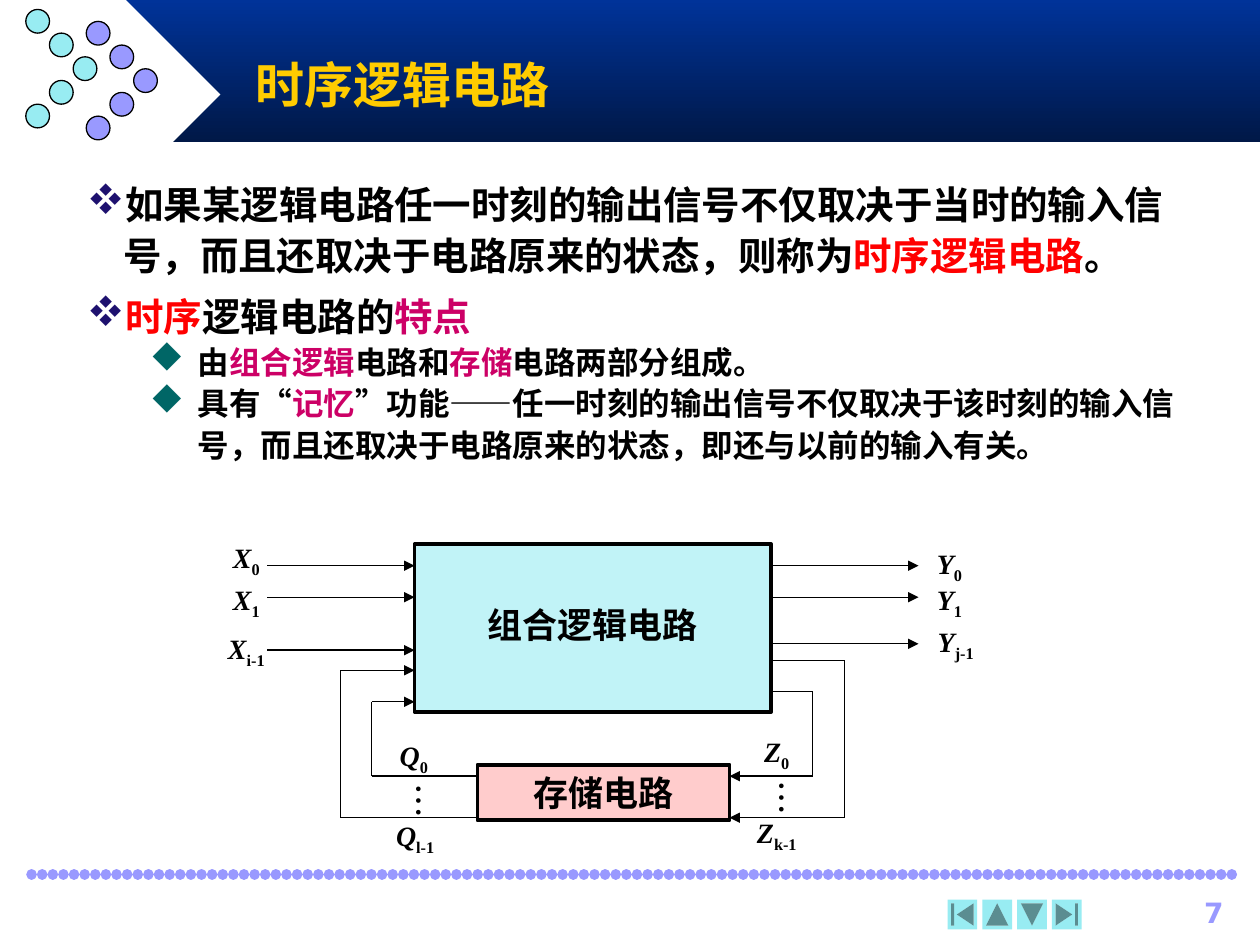
import itertools
import lxml.etree
import pptx
import pptx.dml.color
import pptx.enum.shapes
import pptx.enum.text
import pptx.oxml.ns
import pptx.util

COLS, ROWS = 100, 75
WIDE, HIGH = pptx.util.Inches(10), pptx.util.Inches(7.5)
HUES = {
    "navy": "003399", "dark": "001847", "white": "FFFFFF", "black": "000000",
    "lilac": "9999FF", "aqua": "98ECF2", "gold": "FFCC00", "red": "FF0000",
    "pink": "CC0066", "indigo": "1E116F", "teal": "006666",
    "pale": "C1F3F7", "rose": "FFCCCC",
}
FORMS = pptx.enum.shapes.MSO_SHAPE
ALIGN = pptx.enum.text.PP_ALIGN
HAN = "Noto Sans CJK SC"
SERIF = "Times New Roman"


def hue(name):
    return pptx.dml.color.RGBColor.from_string(HUES[name])


def across(col):
    return round(WIDE * col / COLS)


def down(row):
    return round(HIGH * row / ROWS)


def area(col, row, wide, high):
    return across(col), down(row), across(wide), down(high)


def node(parent, tag, **attrs):
    return lxml.etree.SubElement(parent, pptx.oxml.ns.qn(tag), **attrs)


def add_form(slide, kind, box, fill, edge=0, turn=0):
    form = slide.shapes.add_shape(kind, *area(*box))
    form.shadow.inherit = False
    form.rotation = turn
    form.fill.solid()
    form.fill.fore_color.rgb = hue(fill)
    if edge:
        form.line.color.rgb = hue("black")
        form.line.width = pptx.util.Pt(edge)
    else:
        form.line.fill.background()
    return form


def add_line(slide, start, end, color="black", width=0.75):
    line = slide.shapes.add_connector(
        pptx.enum.shapes.MSO_CONNECTOR.STRAIGHT,
        across(start[0]), down(start[1]), across(end[0]), down(end[1]))
    line.line.color.rgb = hue(color)
    line.line.width = pptx.util.Pt(width)
    node(line._element.spPr, "a:effectLst")
    return line.line._ln


def add_route(slide, *points):
    for start, end in itertools.pairwise(points):
        edge = add_line(slide, start, end)
    node(edge, "a:tailEnd", type="triangle")


def style(run, size, color="black", face="Arial", bold=True, slant=False):
    font = run.font
    font.size = pptx.util.Pt(size)
    font.name = face
    font.bold = bold
    font.italic = slant
    font.color.rgb = hue(color)
    node(run._r.get_or_add_rPr(), "a:ea", typeface=HAN)


def add_text(slide, box, text, size, align=ALIGN.CENTER, turn=0, **look):
    form = slide.shapes.add_textbox(*area(*box))
    form.rotation = turn
    form.text_frame.word_wrap = True
    write(form, text, size, align, **look)
    return form


def write(form, text, size, align=ALIGN.CENTER, **look):
    form.text_frame.text = text
    para = form.text_frame.paragraphs[0]
    para.alignment = align
    style(para.runs[0], size, **look)


def add_label(slide, col, row, name, sub):
    form = add_text(slide, (col, row, 6.7, 4.1), name, 16, face=SERIF, slant=True)
    run = form.text_frame.paragraphs[0].add_run()
    run.text = sub
    style(run, 16, face=SERIF)
    run.font._element.set("baseline", "-25000")


def add_point(para, level, parts, space, before):
    mark, color, left, hang, size = [
        ("v", "indigo", 0.29, 0.29, 22), ("u", "teal", 0.88, 0.38, 18)][level]
    para.level = level
    props = para._p.get_or_add_pPr()
    props.set("marL", str(pptx.util.Inches(left)))
    props.set("indent", str(-pptx.util.Inches(hang)))
    props.set("hangingPunct", "0")
    node(node(props, "a:buClr"), "a:srgbClr", val=HUES[color])
    node(props, "a:buSzPct", val="110000")
    node(props, "a:buFont", typeface="Wingdings", pitchFamily="2", charset="2")
    node(props, "a:buChar", char=mark)
    para.line_spacing = space
    para.space_before = pptx.util.Pt(before)
    for text, tone in parts:
        run = para.add_run()
        run.text = text
        style(run, size, tone)


def add_head(slide):
    band = add_form(slide, FORMS.RECTANGLE, (10, 0, 90, 11.3), "navy")
    band.fill.gradient()
    band.fill.gradient_angle = 270
    for stop, name, place in zip(band.fill.gradient_stops, ("navy", "dark"), (0, 1)):
        stop.color.rgb = hue(name)
        stop.position = place
    add_form(slide, FORMS.DIAMOND, (2.5, 0, 15, 15), "white")
    step = 1.88
    for color, col, row in (("lilac", 6.85, 1.7), ("aqua", 2.05, 0.75)):
        for pos in range(5):
            shift = 2 - abs(pos - 2)
            dot = (col + shift * step, row + pos * step, 1.88, 1.88)
            add_form(slide, FORMS.OVAL, dot, color, 0.75)
    title = add_text(slide, (19.3, 3.3, 70.1, 6.7), "时序逻辑电路", 28,
                     ALIGN.LEFT, color="gold")
    title.text_frame.vertical_anchor = pptx.enum.text.MSO_ANCHOR.MIDDLE


def add_foot(slide):
    edge = add_line(slide, (2.5, 69.4), (98.3, 69.4), "lilac", 6)
    edge.set("cap", "rnd")
    node(node(edge, "a:custDash"), "a:ds", d="100000", sp="1000")
    keys = (
        (FORMS.ACTION_BUTTON_BEGINNING, 0),
        (FORMS.ACTION_BUTTON_BACK_OR_PREVIOUS, 90),
        (FORMS.ACTION_BUTTON_FORWARD_OR_NEXT, 90),
        (FORMS.ACTION_BUTTON_END, 0),
    )
    for pos, (kind, turn) in enumerate(keys):
        add_form(slide, kind, (75.2 + pos * 2.76, 71.4, 2.36, 2.36), "aqua", turn=turn)
    add_text(slide, (88.6, 70.6, 9.5, 3.3), "7", 16, ALIGN.RIGHT,
             color="lilac", face="DejaVu Sans")


def add_body(slide):
    points = (
        (0, 1.1, 0, (("如果某逻辑电路任一时刻的输出信号不仅取决于当时的输入信号，而且还取决于电路原来的状态，则称为", "black"),
                     ("时序逻辑电路", "red"), ("。", "black"))),
        (0, 0.8, 13.8, (("时序", "red"), ("逻辑电路的", "black"), ("特点", "pink"))),
        (1, 1.1, 0, (("由", "black"), ("组合逻辑", "pink"), ("电路和", "black"),
                     ("存储", "pink"), ("电路两部分组成。", "black"))),
        (1, 1.1, 0, (("具有“", "black"), ("记忆", "pink"),
                     ("”功能——任一时刻的输出信号不仅取决于该时刻的输入信号，而且还取决于电路原来的状态，即还与以前的输入有关。", "black"))),
    )
    frame = slide.shapes.add_textbox(*area(5.9, 13.5, 92.1, 25.7)).text_frame
    frame.word_wrap = True
    for pos, (level, space, before, parts) in enumerate(points):
        para = frame.add_paragraph() if pos else frame.paragraphs[0]
        add_point(para, level, parts, space, before)


def add_plan(slide):
    left, right, near, far = 32.9, 61.2, 37.9, 57.9
    add_form(slide, FORMS.RECTANGLE, (left, 43.2, 28.3, 13.3), "pale", 2.25)
    add_text(slide, (36.2, 47.4, 21.7, 4.4), "组合逻辑电路", 20)
    store = add_form(slide, FORMS.RECTANGLE, (near, 60.7, 20, 4.4), "rose", 2.25)
    write(store, "存储电路", 20, face=SERIF)

    for start, rows in ((21.2, (44.9, 47.4, 51.6)), (right, (44.9, 47.4, 51.1))):
        for row in rows:
            add_route(slide, (start, row), (start + 11.7, row))
    for out, back, top, low in ((64.5, 29.5, 54.9, 61.6), (67, 27, 52.4, 64.9)):
        add_route(slide, (right, top), (out, top), (out, low), (far, low))
        add_route(slide, (near, low), (back, low), (back, top + 0.8), (left, top + 0.8))

    labels = (
        (16.2, 42.4, "X", "0"), (16.2, 45.7, "X", "1"), (16.2, 49.6, "X", "i-1"),
        (72, 42.9, "Y", "0"), (72, 45.7, "Y", "1"), (72.5, 49.1, "Y", "j-1"),
        (29.5, 58.1, "Q", "0"), (29.6, 64.5, "Q", "l-1"),
        (58.3, 57.8, "Z", "0"), (58.3, 64.2, "Z", "k-1"),
    )
    for label in labels:
        add_label(slide, *label)
    for col, row in ((30.8, 61.4), (59.6, 61.1)):
        add_text(slide, (col, row, 4.9, 4.4), "…", 20, turn=90, face=HAN, bold=False)


def main():
    deck = pptx.Presentation()
    deck.slide_width, deck.slide_height = WIDE, HIGH
    slide = deck.slides.add_slide(deck.slide_layouts[6])
    add_head(slide)
    add_foot(slide)
    add_body(slide)
    add_plan(slide)
    deck.save("out.pptx")


if __name__ == "__main__":
    main()
